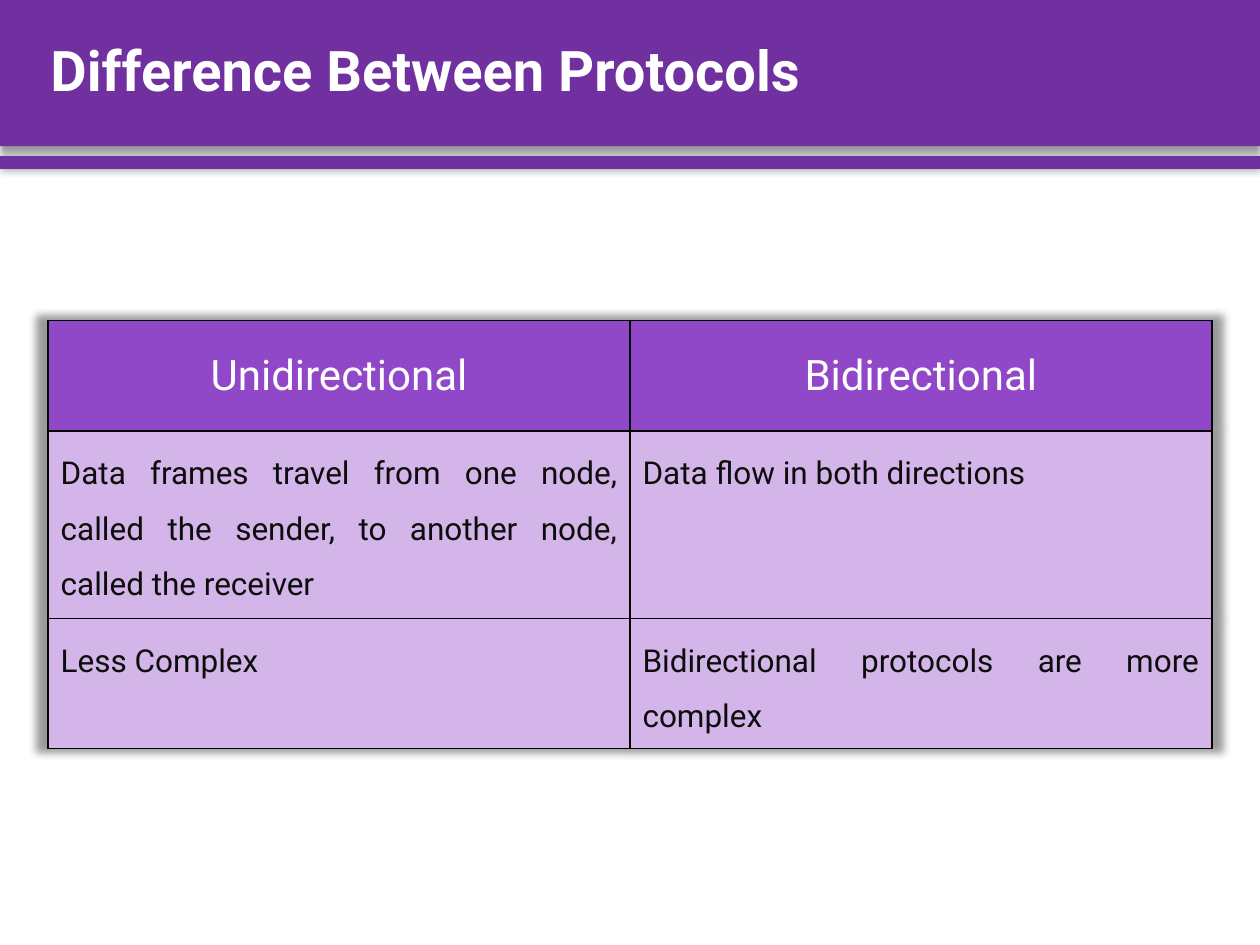
import pptx
import pptx.util
import pptx.dml.color
import pptx.enum.shapes
import pptx.enum.text
import pptx.oxml

Pt = pptx.util.Pt
ALIGN = pptx.enum.text.PP_ALIGN
ANCHOR = pptx.enum.text.MSO_ANCHOR
RECT = pptx.enum.shapes.MSO_SHAPE.RECTANGLE
NS = 'xmlns:a="http://schemas.openxmlformats.org/drawingml/2006/main"'
FONT = "Roboto"
WIDE, HIGH = 720, 540
BAND = 83.5

ROWS = [
    ("Unidirectional", "Bidirectional"),
    ("Data frames travel from one node, called the sender, to another node, "
     "called the receiver", "Data flow in both directions"),
    ("Less Complex", "Bidirectional protocols are more complex"),
]


def color(code):
    return pptx.dml.color.RGBColor.from_string(code)


def style(para, size, code, align, space, bold=False):
    para.alignment = align
    para.line_spacing = space
    font = para.font
    font.name, font.size, font.bold = FONT, Pt(size), bold
    font.color.rgb = color(code)


def shadow(blur, dist, angle, scale=100):
    return pptx.oxml.parse_xml(
        f'<a:effectLst {NS}><a:outerShdw blurRad="{Pt(blur)}" dist="{Pt(dist)}" '
        f'dir="{angle * 60000}" sx="{scale * 1000}" sy="{scale * 1000}" '
        f'algn="ctr" rotWithShape="0"><a:srgbClr val="000000">'
        f'<a:alpha val="40000"/></a:srgbClr></a:outerShdw></a:effectLst>')


def border(cell, code, width):
    props = cell._tc.get_or_add_tcPr()
    for spot, side in enumerate("LRTB"):
        props.insert(spot, pptx.oxml.parse_xml(
            f'<a:ln{side} {NS} w="{Pt(width)}"><a:solidFill>'
            f'<a:srgbClr val="{code}"/></a:solidFill></a:ln{side}>'))


def header(slide, left, top, width, height):
    # Title band and the thin stripe below it
    bars = [(0, height, (4, 3, 90)), (height + 5.8, 7.2, (5, 0, 0))]
    for down, tall, cast in bars:
        bar = slide.shapes.add_shape(
            RECT, Pt(left), Pt(top + down), Pt(width), Pt(tall))
        bar.fill.solid()
        bar.fill.fore_color.rgb = color("7030A0")
        bar.line.fill.background()
        bar.shadow.inherit = False
        props = bar.element.spPr
        props.replace(props.effectLst, shadow(*cast))

    # Title, brought in front of the band
    title = slide.shapes.title
    title.left, title.top = Pt(left + 21.6), Pt(top)
    title.width, title.height = Pt(width - 39), Pt(height)
    frame = title.text_frame
    frame.text = "Difference Between Protocols"
    frame.vertical_anchor = ANCHOR.MIDDLE
    style(frame.paragraphs[0], 32, "FFFFFF", ALIGN.LEFT, 0.9, True)
    title.element.getparent().append(title.element)


def compare(slide, left, top, width, heights):
    frame = slide.shapes.add_table(
        len(ROWS), 2, Pt(left), Pt(top), Pt(width), Pt(sum(heights)))
    table = frame.table
    table._tbl.tblPr.insert(0, shadow(5, 0, 0, 102))
    for col in table.columns:
        col.width = Pt(width / 2)
    for r, (texts, height) in enumerate(zip(ROWS, heights)):
        table.rows[r].height = Pt(height)
        for c, text in enumerate(texts):
            cell = table.cell(r, c)
            cell.text = text
            cell.fill.solid()
            para = cell.text_frame.paragraphs[0]
            if r == 0:
                cell.margin_bottom = Pt(17.3)
                cell.fill.fore_color.rgb = color("9148C8")
                style(para, 24, "FFFFFF", ALIGN.CENTER, 1.5)
            else:
                cell.fill.fore_color.rgb = color("D3B5E9")
                style(para, 18, "0D0D0D", ALIGN.JUSTIFY, 1.5)
            border(cell, "000000", 1)


def main():
    deck = pptx.Presentation()
    deck.slide_width, deck.slide_height = Pt(WIDE), Pt(HIGH)
    slide = deck.slides.add_slide(deck.slide_layouts[5])
    header(slide, 0, 0, WIDE, BAND)
    compare(slide, 27.5, 183, WIDE - 2 * 27.5, (56, 107.3, 74.2))
    deck.save("out.pptx")


if __name__ == "__main__":
    main()
